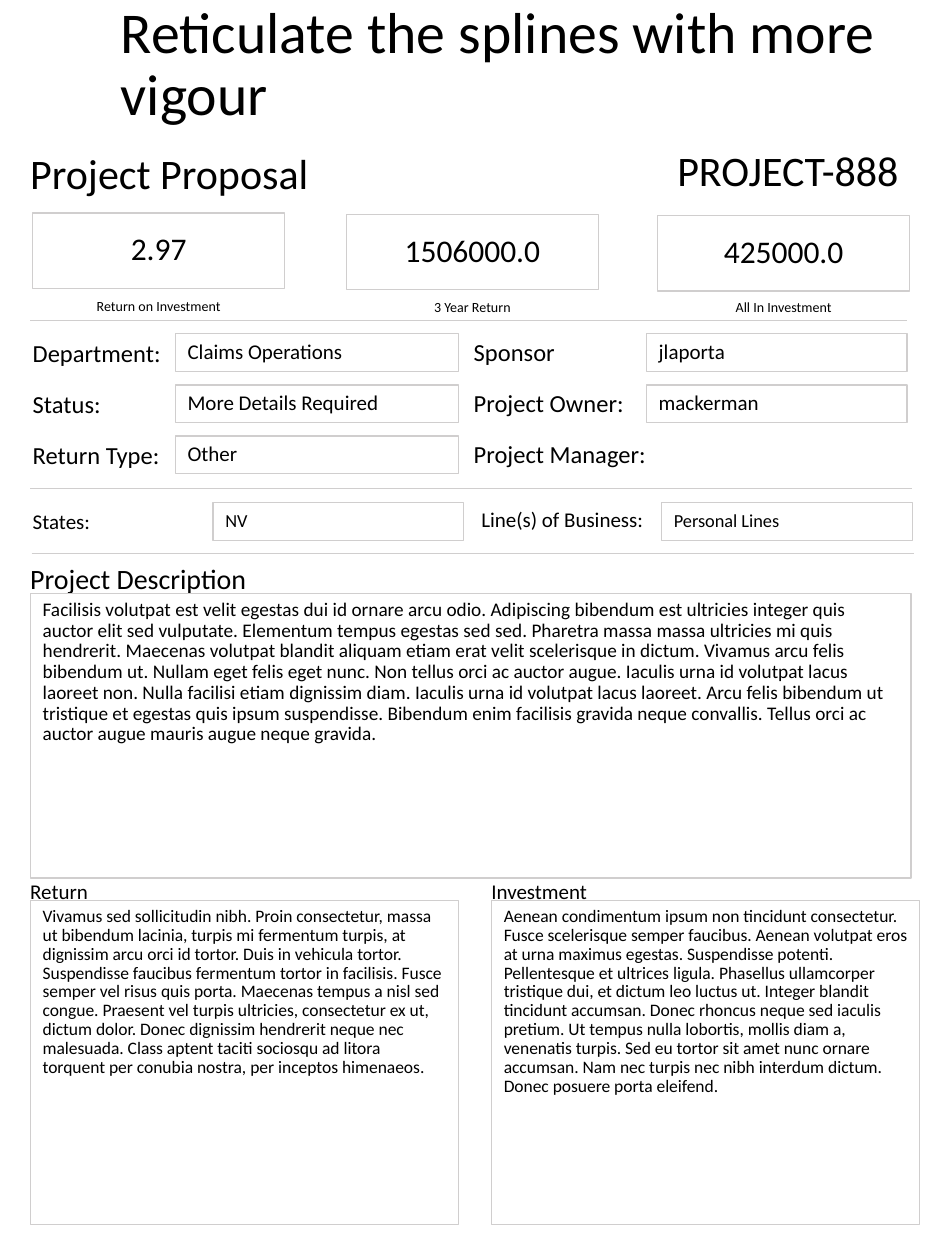
from dataclasses import dataclass
from typing import Any

from lxml import etree
from pptx import Presentation
from pptx import util as u
from pptx.dml.color import RGBColor
from pptx.enum import shapes, text
from pptx.oxml.ns import qn

COLUMNS, ROWS = 75, 100
LEFT, CENTER, RIGHT = text.PP_ALIGN.LEFT, text.PP_ALIGN.CENTER, text.PP_ALIGN.RIGHT
TOP, MIDDLE = text.MSO_ANCHOR.TOP, text.MSO_ANCHOR.MIDDLE

DESCRIPTION = (
    "Facilisis volutpat est velit egestas dui id ornare arcu odio. Adipiscing bibendum est ultricies "
    "integer quis auctor elit sed vulputate. Elementum tempus egestas sed sed. Pharetra massa massa "
    "ultricies mi quis hendrerit. Maecenas volutpat blandit aliquam etiam erat velit scelerisque in "
    "dictum. Vivamus arcu felis bibendum ut. Nullam eget felis eget nunc. Non tellus orci ac auctor "
    "augue. Iaculis urna id volutpat lacus laoreet non. Nulla facilisi etiam dignissim diam. Iaculis "
    "urna id volutpat lacus laoreet. Arcu felis bibendum ut tristique et egestas quis ipsum "
    "suspendisse. Bibendum enim facilisis gravida neque convallis. Tellus orci ac auctor augue mauris "
    "augue neque gravida."
)
RETURN = (
    "Vivamus sed sollicitudin nibh. Proin consectetur, massa ut bibendum lacinia, turpis mi fermentum "
    "turpis, at dignissim arcu orci id tortor. Duis in vehicula tortor. Suspendisse faucibus fermentum "
    "tortor in facilisis. Fusce semper vel risus quis porta. Maecenas tempus a nisl sed congue. "
    "Praesent vel turpis ultricies, consectetur ex ut, dictum dolor. Donec dignissim hendrerit neque "
    "nec malesuada. Class aptent taciti sociosqu ad litora torquent per conubia nostra, per inceptos "
    "himenaeos."
)
INVESTMENT = (
    "Aenean condimentum ipsum non tincidunt consectetur. Fusce scelerisque semper faucibus. Aenean "
    "volutpat eros at urna maximus egestas. Suspendisse potenti. Pellentesque et ultrices ligula. "
    "Phasellus ullamcorper tristique dui, et dictum leo luctus ut. Integer blandit tincidunt accumsan. "
    "Donec rhoncus neque sed iaculis pretium. Ut tempus nulla lobortis, mollis diam a, venenatis "
    "turpis. Sed eu tortor sit amet nunc ornare accumsan. Nam nec turpis nec nibh interdum dictum. "
    "Donec posuere porta eleifend."
)


def color(value):
    """Turn a hex string into a colour."""
    return RGBColor.from_string(value)


@dataclass
class Form:
    """Style of the proposal form and the slide it is drawn on."""

    deck: Any
    slide: Any
    font: str = "Calibri"
    ink: str = "000000"
    rule_color: str = "D0CECE"

    def place(self, column, row, width, height):
        """Convert grid columns and rows to slide lengths."""
        across, down = self.deck.slide_width / COLUMNS, self.deck.slide_height / ROWS
        return [u.Emu(round(n)) for n in (column * across, row * down, width * across, height * down)]

    def set_text(self, box, words, size, align=LEFT, anchor=TOP, inset=(0, 0), wrap=True, spacing=1.0):
        """Fill a shape with one styled paragraph."""
        frame = box.text_frame
        frame.auto_size = text.MSO_AUTO_SIZE.NONE
        frame.word_wrap = wrap
        frame.vertical_anchor = anchor
        frame.margin_left = frame.margin_right = u.Inches(inset[0])
        frame.margin_top = frame.margin_bottom = u.Inches(inset[1])
        para = frame.paragraphs[0]
        para.text = words
        para.alignment = align
        para.line_spacing = spacing
        para.font.name, para.font.size = self.font, u.Pt(size)
        para.font.color.rgb = color(self.ink)

    def title(self, words, area, size):
        """Move and format the title placeholder."""
        box = self.slide.shapes.title
        box.left, box.top, box.width, box.height = self.place(*area)
        self.set_text(box, words, size, anchor=MIDDLE, spacing=0.9)

    def label(self, words, area, size, **style):
        """Add plain text without a frame."""
        box = self.slide.shapes.add_textbox(*self.place(*area))
        self.set_text(box, words, size, **{"wrap": False, **style})

    def field(self, words, area, size, align=LEFT, anchor=MIDDLE):
        """Add an outlined box holding a value."""
        box = self.slide.shapes.add_shape(shapes.MSO_SHAPE.RECTANGLE, *self.place(*area))
        box.shadow.inherit = False
        box.fill.background()
        box.line.color.rgb = color(self.rule_color)
        box.line.width = u.Pt(0.75)
        self.set_text(box, words, size, align, anchor, (0.1, 0.05), spacing=0.9)

    def rule(self, column, row, width):
        """Add a thin horizontal divider."""
        left, top, length, _ = self.place(column, row, width, 0)
        line = self.slide.shapes.add_connector(shapes.MSO_CONNECTOR.STRAIGHT, left, top, left + length, top)
        line.line.color.rgb = color(self.rule_color)
        line.line.width = u.Pt(0.5)
        etree.SubElement(line._element.spPr, qn("a:effectLst"))


def main():
    """Build the project proposal slide."""
    deck = Presentation()
    deck.slide_width, deck.slide_height = u.Inches(7.5), u.Inches(10)
    form = Form(deck, deck.slides.add_slide(deck.slide_layouts[5]))

    form.title("Reticulate the splines with more vigour", (9.6, 2.7, 62.5, 5), 33)
    form.label("Project Proposal", (2.4, 11.7, 34, 4), 24)
    form.label("PROJECT-888", (38.6, 11.7, 33.7, 4), 24, align=RIGHT, anchor=MIDDLE,
               inset=(0.1, 0), wrap=True, spacing=0.9)

    metrics = [
        (2.6, 16.9, 23.1, "2.97", "Return on Investment"),
        (27.5, 17, 23.2, "1506000.0", "3 Year Return"),
        (52.2, 17.1, 23.2, "425000.0", "All In Investment"),
    ]
    for column, row, caption_row, value, caption in metrics:
        form.field(value, (column, row, 20, 6), 18, align=CENTER)
        form.label(caption, (column, caption_row, 20, 2), 8, align=CENTER, inset=(0.1, 0.05))

    for column, row, width in [(2.4, 25.4, 69.6), (2.4, 38.8, 70), (2.5, 43.9, 70)]:
        form.rule(column, row, width)

    people = [
        ("Department:", "Claims Operations", "Sponsor", "jlaporta"),
        ("Status:", "More Details Required", "Project Owner:", "mackerman"),
        ("Return Type:", "Other", "Project Manager:", None),
    ]
    for index, (name, value, role, person) in enumerate(people):
        row = 26.5 + 4.05 * index
        form.label(name, (2.6, row + 0.35, 10.3, 2.4), 14)
        form.field(value, (13.9, row, 22.5, 3), 12)
        form.label(role, (37.6, row + 0.25, 13.8, 2.4), 14)
        if person:
            form.field(person, (51.3, row, 20.7, 3), 12)

    form.label("States:", (2.6, 40.4, 4.6, 2), 12)
    form.field("NV", (16.9, 39.9, 19.9, 3), 10.5)
    form.label("Line(s) of Business:", (38.2, 40.2, 13, 2), 12)
    form.field("Personal Lines", (52.5, 39.9, 19.9, 3), 10.5)

    form.label("Project Description", (2.4, 44.6, 34, 2.5), 16)
    form.field(DESCRIPTION, (2.4, 47.1, 69.9, 22.6), 11, anchor=TOP)
    for column, heading, words in [(2.4, "Return", RETURN), (39, "Investment", INVESTMENT)]:
        form.label(heading, (column, 69.7, 34, 1.8), 12)
        form.field(words, (column, 71.5, 34, 25.7), 10, anchor=TOP)

    deck.save("out.pptx")


if __name__ == "__main__":
    main()
